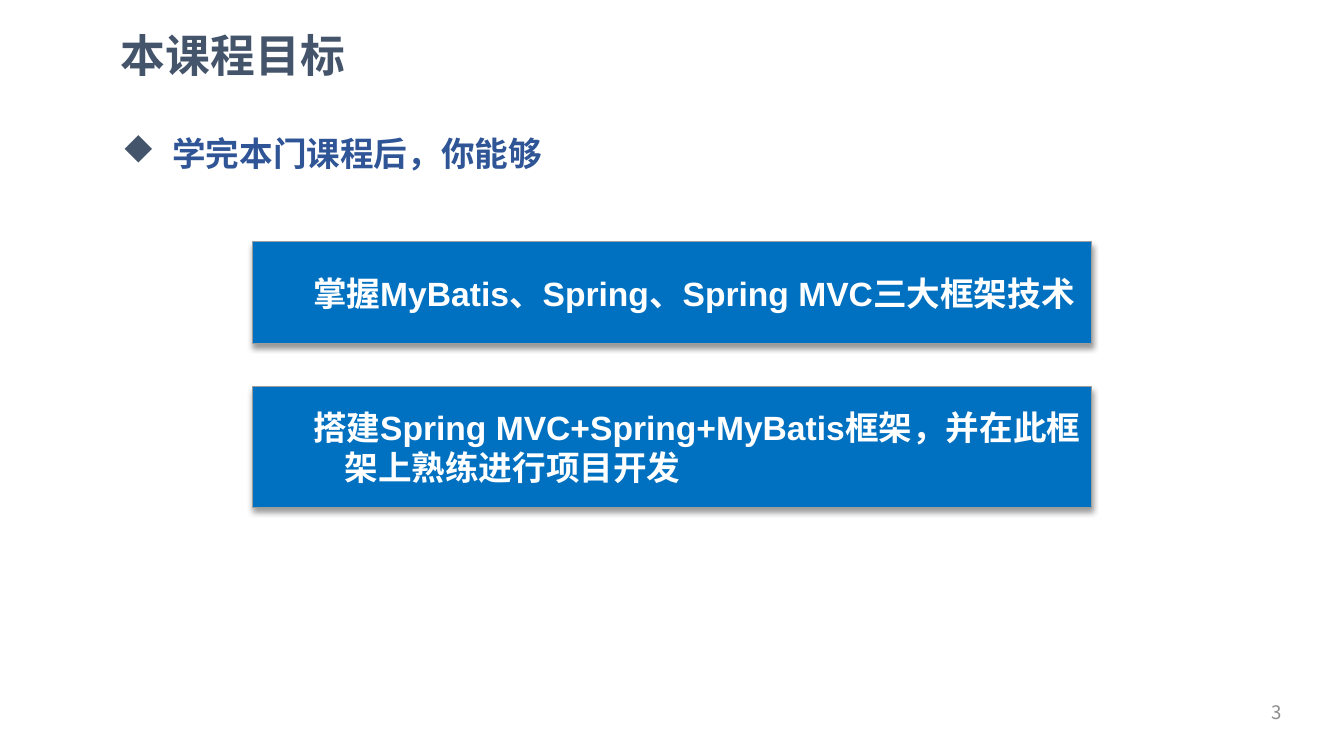
import pptx
import pptx.util
import pptx.oxml
import pptx.oxml.ns
import pptx.dml.color
import pptx.enum.shapes
import pptx.enum.text
from dataclasses import dataclass

Pt = pptx.util.Pt
Align = pptx.enum.text.PP_ALIGN
Anchor = pptx.enum.text.MSO_ANCHOR


@dataclass(frozen=True)
class Theme:
    slate: str = "44546A"
    navy: str = "2F5597"
    blue: str = "0070C0"
    outline: str = "9D9D9D"
    white: str = "FFFFFF"
    gray: str = "8C8C8C"
    shadow: str = "000000"
    chinese: str = "Noto Sans CJK SC"
    latin: str = "Arial"
    title_size: float = 32
    body_size: float = 24
    number_size: float = 13.3


THEME = Theme()


def rgb(value):
    return pptx.dml.color.RGBColor.from_string(value)


def apply_format(target, values):
    for name, value in values.items():
        setattr(target, name, value)


def append_xml(parent, tag, content):
    namespace = pptx.oxml.ns.nsdecls("a")
    parent.append(pptx.oxml.parse_xml(f"<a:{tag} {namespace} {content}"))


def write_text(shape, text, font, color, paragraph_format, anchor=Anchor.MIDDLE):
    apply_format(shape.text_frame, {"word_wrap": True, "vertical_anchor": anchor})
    paragraph = shape.text_frame.paragraphs[0]
    apply_format(paragraph, paragraph_format)
    run = paragraph.add_run()
    run.text = text
    apply_format(run.font, font)
    run.font.color.rgb = rgb(color)
    append_xml(run.font._element, "ea", f'typeface="{THEME.chinese}"/>')
    return paragraph


def set_indent(paragraph, left, first):
    properties = paragraph._element.get_or_add_pPr()
    for name, value in {"marL": left, "indent": first}.items():
        properties.set(name, str(Pt(value)))
    return properties


def add_text(slide, box, *text_settings):
    shape = slide.shapes.add_textbox(*map(Pt, box))
    return write_text(shape, *text_settings)


def add_title(slide, box, text):
    font = {"name": THEME.chinese, "size": Pt(THEME.title_size), "bold": True}
    add_text(slide, box, text, font, THEME.slate, {"line_spacing": 0.9})


def add_lead(slide, box, text):
    font = {"name": THEME.chinese, "size": Pt(THEME.body_size), "bold": True}
    spacing = {"line_spacing": 1.2, "space_before": Pt(10)}
    paragraph = add_text(slide, box, text, font, THEME.navy, spacing, Anchor.TOP)
    properties = set_indent(paragraph, 36, -36)
    append_xml(properties, "buClr", f'><a:srgbClr val="{THEME.slate}"/></a:buClr>')
    append_xml(properties, "buFont", 'typeface="Wingdings" charset="2"/>')
    append_xml(properties, "buChar", 'char="u"/>')


def add_goal(slide, box, text):
    shape = slide.shapes.add_shape(
        pptx.enum.shapes.MSO_SHAPE.RECTANGLE, *map(Pt, box))
    shape.fill.solid()
    shape.fill.fore_color.rgb = rgb(THEME.blue)
    shape.line.color.rgb = rgb(THEME.outline)
    shape.line.width = Pt(0.75)
    shape.shadow.inherit = False
    effects = shape._element.spPr.find(pptx.oxml.ns.qn("a:effectLst"))
    append_xml(effects, "outerShdw",
               f'blurRad="{Pt(4)}" dist="{Pt(3)}" dir="5400000" rotWithShape="0">'
               f'<a:srgbClr val="{THEME.shadow}"><a:alpha val="40000"/></a:srgbClr>'
               '</a:outerShdw>')
    font = {"name": THEME.latin, "size": Pt(THEME.body_size), "bold": True}
    layout = {"level": 1, "alignment": Align.LEFT,
              "space_before": Pt(0.2 * THEME.body_size)}
    paragraph = write_text(shape, text, font, THEME.white, layout)
    set_indent(paragraph, 58.5, -22.5)


def add_goals(slide, box, gap, goals):
    left, top, width = box
    for height, text in goals:
        add_goal(slide, (left, top, width, height), text)
        top += height + gap


def add_number(slide, box, text):
    font = {"name": THEME.chinese, "size": Pt(THEME.number_size)}
    add_text(slide, box, text, font, THEME.gray, {"alignment": Align.CENTER})


def build_goals_slide(presentation):
    slide = presentation.slides.add_slide(presentation.slide_layouts[6])
    add_lead(slide, (80, 85.7, 839, 409), "学完本门课程后，你能够")
    add_title(slide, (79.2, 17.3, 839, 48), "本课程目标")
    add_goals(slide, (180.5, 172.5, 599.5), 30.7, [
        (73, "掌握MyBatis、Spring、Spring MVC三大框架技术"),
        (86.4, "搭建Spring MVC+Spring+MyBatis框架，并在此框架上熟练进行项目开发"),
    ])
    add_number(slide, (888.5, 494, 46.8, 28.8), "3")


presentation = pptx.Presentation()
apply_format(presentation, {"slide_width": Pt(960), "slide_height": Pt(540)})
build_goals_slide(presentation)
presentation.save("out.pptx")
